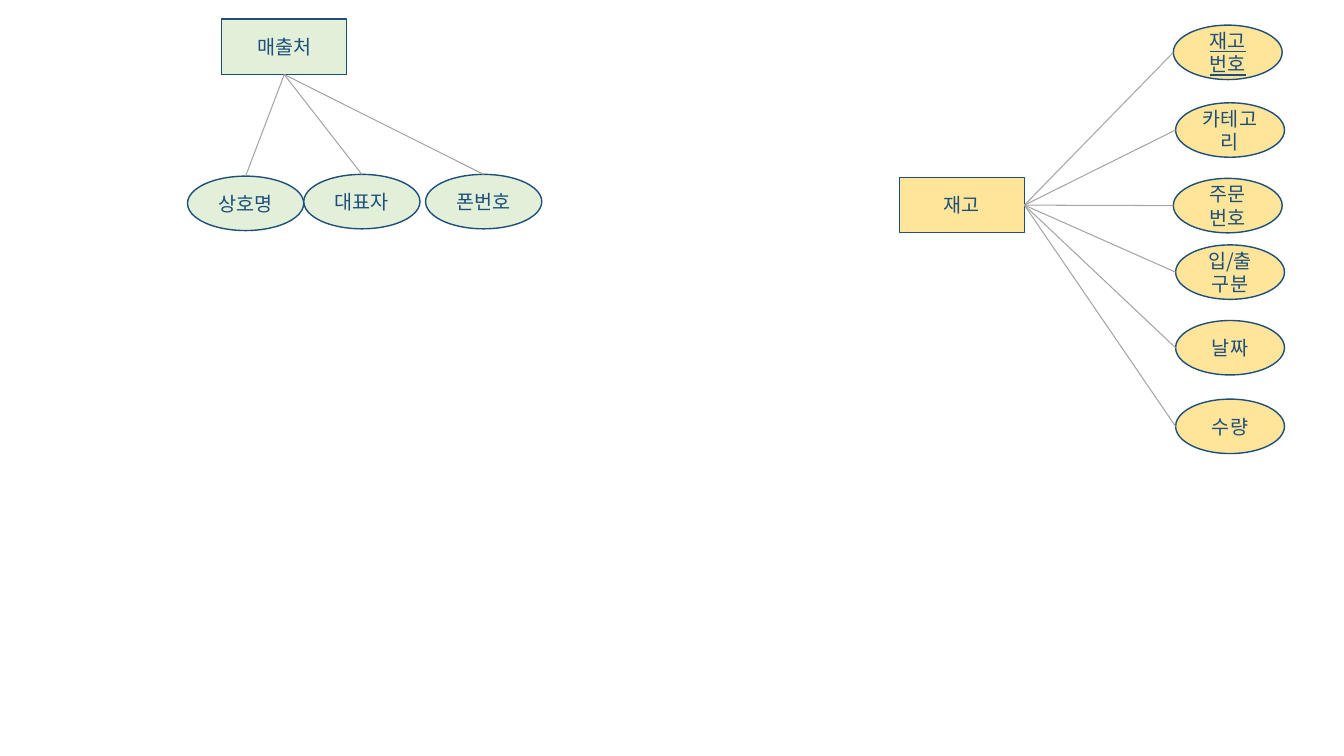
from lxml import etree
from pptx import Presentation
from pptx import util as u
from pptx.dml.color import RGBColor
from pptx.enum import shapes, text
from pptx.oxml.ns import qn

FONT = "Noto Sans CJK KR"
NAVY, GREY, GREEN, YELLOW = "1E4E79", "A5A5A5", "E2F0D9", "FEE599"
SLIDE_WIDTH, SLIDE_HEIGHT = u.Inches(13.33), u.Inches(7.5)
ENTITY_SIZE = (9.3, 7.33)
ATTRIBUTE_HEIGHT = 7.2
TOP, BOTTOM, RIGHT = 0, 2, 3


def col(share):
    """Turn a percentage of the slide width into a length."""
    return round(SLIDE_WIDTH * share / 100)


def row(share):
    """Turn a percentage of the slide height into a length."""
    return round(SLIDE_HEIGHT * share / 100)


def color(hex_code):
    """Read a hex string as a colour."""
    return RGBColor.from_string(hex_code)


def add_node(slide, outline, label, place, size, fill, underline=None):
    """Add a filled, outlined shape with a centred label."""
    node = slide.shapes.add_shape(
        outline, col(place[0]), row(place[1]), col(size[0]), row(size[1]))
    node.shadow.inherit = False
    node.fill.solid()
    node.fill.fore_color.rgb = color(fill)
    node.line.color.rgb = color(NAVY)
    node.line.width = u.Pt(1)
    node.text_frame.text = label
    node.text_frame.vertical_anchor = text.MSO_ANCHOR.MIDDLE
    for line in node.text_frame.paragraphs:
        line.alignment = text.PP_ALIGN.CENTER
        for run in line.runs:
            run.font.name = FONT
            run.font.size = u.Pt(14)
            run.font.color.rgb = color(NAVY)
            run.font.underline = underline
            east_asian = etree.SubElement(run.font._element, qn("a:ea"))
            east_asian.set("typeface", FONT)
    return node


def add_link(slide, entity, side, attribute):
    """Join one side of an entity to the top or left of its attribute."""
    if side == BOTTOM:
        end = attribute.left + attribute.width // 2, attribute.top
    else:
        end = attribute.left, attribute.top + attribute.height // 2
    link = slide.shapes.add_connector(
        shapes.MSO_CONNECTOR.STRAIGHT, entity.left, entity.top, *end)
    link.begin_connect(entity, side)
    if side == BOTTOM:
        link.end_connect(attribute, TOP)
    link.line.color.rgb = color(GREY)
    link.line.width = u.Pt(0.75)
    etree.SubElement(link._element.spPr, qn("a:effectLst"))


def add_entity(slide, name, place, fill, side, attribute_width, attributes):
    """Add an entity with its attributes; the key attribute is underlined."""
    entity = add_node(slide, shapes.MSO_SHAPE.RECTANGLE, name, place,
                      ENTITY_SIZE, fill)
    for label, left, top, is_key in attributes:
        attribute = add_node(slide, shapes.MSO_SHAPE.OVAL, label, (left, top),
                             (attribute_width, ATTRIBUTE_HEIGHT), fill,
                             is_key or None)
        add_link(slide, entity, side, attribute)


def main():
    """Build the entity diagram and save it."""
    deck = Presentation()
    deck.slide_width, deck.slide_height = SLIDE_WIDTH, SLIDE_HEIGHT
    slide = deck.slides.add_slide(deck.slide_layouts[6])
    add_entity(slide, "매출처", (16.5, 2.53), GREEN, BOTTOM, 8.65, [
        ("상호명", 13.95, 23.3, False),
        ("대표자", 22.6, 23.07, False),
        ("폰번호", 31.66, 23.07, False),
    ])
    add_entity(slide, "재고", (66.92, 23.47), YELLOW, RIGHT, 8.1, [
        ("재고\n번호", 87.3, 3.33, True),
        ("카테고리", 87.47, 13.6, False),
        ("주문\n번호", 87.3, 23.6, False),
        ("입/출\n구분", 87.47, 32.4, False),
        ("날짜", 87.47, 42.4, False),
        ("수량", 87.47, 52.8, False),
    ])
    deck.save("out.pptx")


if __name__ == "__main__":
    main()
